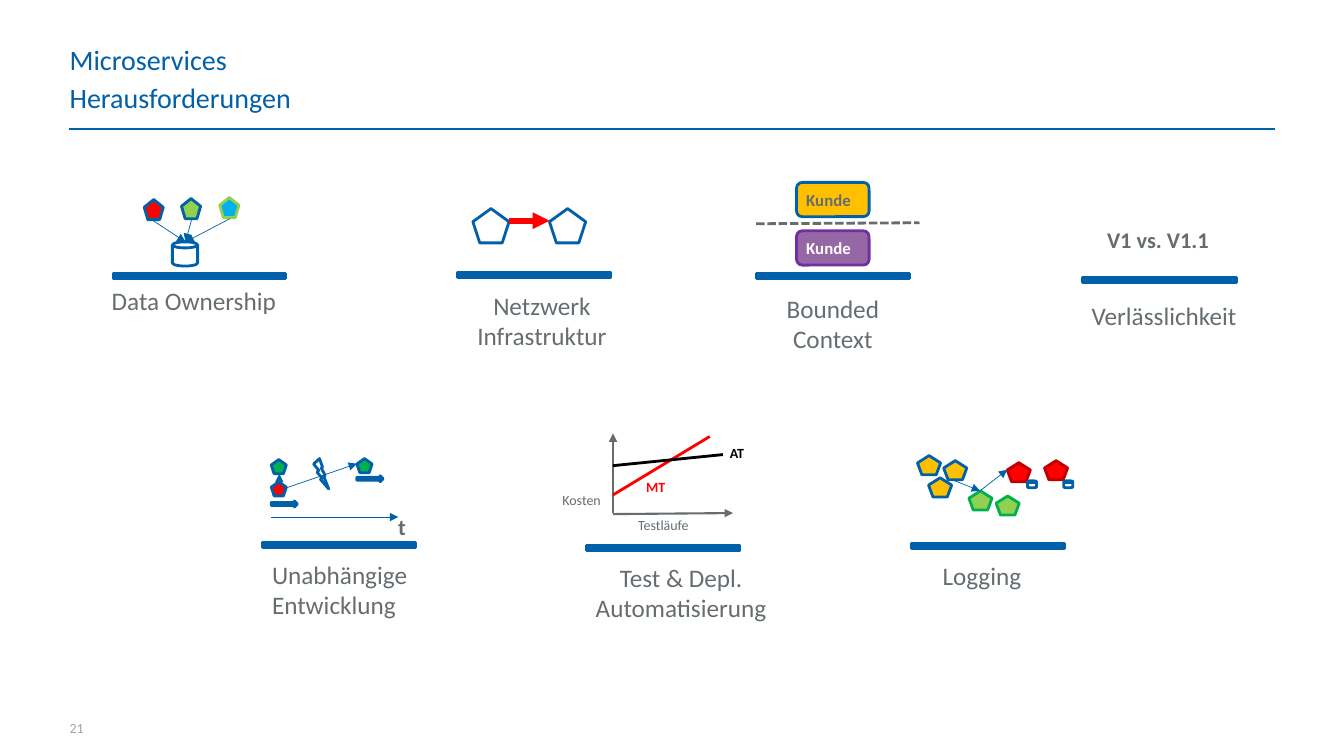
from lxml import etree
from pptx import Presentation
from pptx.dml.color import RGBColor
from pptx.enum import dml, shapes, text
from pptx.oxml.ns import qn
from pptx.util import Inches, Pt

COLORS = {
    "blue": "0060A9", "gray": "666D71", "pale": "A0A3A5", "white": "FFFFFF",
    "black": "000000", "red": "FF0000", "dark red": "C00000", "lime": "92D050",
    "green": "00B050", "sky": "00B0F0", "amber": "FFC000", "violet": "9667A5",
    "purple": "7030A0",
}
KIND = shapes.MSO_SHAPE
LEFT, CENTER = text.PP_ALIGN.LEFT, text.PP_ALIGN.CENTER
MIDDLE = text.MSO_ANCHOR.MIDDLE

prs = Presentation()
prs.slide_width, prs.slide_height = Inches(13.33), Inches(7.5)
slide = prs.slides.add_slide(prs.slide_layouts[5])


def draw(kind, box, fill=None, outline="blue"):
    shape = slide.shapes.add_shape(kind, *map(Inches, box))
    shape.shadow.inherit = False
    if fill:
        shape.fill.solid()
        shape.fill.fore_color.rgb = RGBColor.from_string(COLORS[fill])
    else:
        shape.fill.background()
    shape.line.color.rgb = RGBColor.from_string(COLORS[outline])
    shape.line.width = Pt(2)
    return shape


def write(frame, words, size, color="gray", bold=False, align=LEFT, after=0):
    frame.text = words
    paragraph = frame.paragraphs[0]
    paragraph.alignment = align
    paragraph.space_after = Pt(after)
    paragraph.font.name = "Calibri"
    paragraph.font.size = Pt(size)
    paragraph.font.bold = bold
    paragraph.font.color.rgb = RGBColor.from_string(COLORS[color])
    return paragraph


# Title, subtitle and page number
title = slide.shapes.title
title.left, title.top, title.width, title.height = map(Inches, (0.69, 0.4, 11.96, 0.37))
subtitle = slide.shapes.add_textbox(*map(Inches, (0.69, 0.78, 11.96, 0.37)))
page = slide.shapes.add_textbox(*map(Inches, (0.69, 7.1, 0.52, 0.16)))
for holder, words, size, color, after in [
    (title, "Microservices", 20, "blue", 3),
    (subtitle, "Herausforderungen", 20, "blue", 3),
    (page, "21", 10, "pale", 0),
]:
    frame = holder.text_frame
    frame.margin_left = frame.margin_right = frame.margin_top = frame.margin_bottom = 0
    frame.vertical_anchor = MIDDLE
    frame.auto_size = text.MSO_AUTO_SIZE.NONE
    frame.word_wrap = True
    write(frame, words, size, color, after=after)
page.text_frame.paragraphs[0].line_spacing = 1.5

# Challenges: caption with its box, then the bar above it
for words, align, caption, bar in [
    ("Data Ownership", LEFT, (1.01, 2.78, 2.15, 0.4), (1.12, 2.71, 1.71)),
    ("Netzwerk Infrastruktur", CENTER, (4.44, 2.83, 1.87, 0.71), (4.54, 2.7, 1.52)),
    ("Bounded Context", CENTER, (7.5, 2.86, 1.52, 0.71), (7.5, 2.71, 1.52)),
    ("Verlässlichkeit", CENTER, (10.57, 2.93, 1.95, 0.4), (10.74, 2.75, 1.52)),
    ("Unabhängige Entwicklung", LEFT, (2.6, 5.5, 1.84, 0.71), (2.6, 5.38, 1.52)),
    ("Test & Depl. Automatisierung", CENTER, (5.61, 5.53, 2.29, 0.71), (5.82, 5.41, 1.52)),
    ("Logging", LEFT, (9.25, 5.51, 1.45, 0.4), (9.04, 5.39, 1.52)),
]:
    frame = slide.shapes.add_textbox(*map(Inches, caption)).text_frame
    frame.word_wrap = True
    write(frame, words, 18, align=align, after=3)
    draw(KIND.RECTANGLE, (*bar, 0.05), "blue")

# Services as pentagons: size, then left, top, fill and outline of each
for size, services in [
    ((0.19, 0.2), [  # Data Ownership
        (1.8, 1.97, "lime", "blue"), (2.18, 1.96, "sky", "lime"),
        (1.43, 1.98, "red", "blue")]),
    ((0.36, 0.34), [  # Netzwerk Infrastruktur
        (4.69, 2.07, None, "blue"), (5.45, 2.07, None, "blue")]),
    ((0.15, 0.14), [  # Unabhängige Entwicklung
        (2.69, 4.78, "red", "blue"), (3.54, 4.55, "green", "blue"),
        (2.69, 4.56, "green", "blue")]),
    ((0.23, 0.19), [  # Logging
        (9.1, 4.52, "amber", "blue"), (9.36, 4.57, "amber", "blue"),
        (9.21, 4.74, "amber", "blue"), (9.99, 4.59, "red", "dark red"),
        (10.36, 4.57, "red", "dark red"), (9.61, 4.87, "lime", "green"),
        (9.88, 4.92, "lime", "green")]),
]:
    for left, top, fill, outline in services:
        draw(KIND.REGULAR_PENTAGON, (left, top, *size), fill, outline)

# Databases, releases and the conflict between them
for store in [(1.71, 2.4, 0.25, 0.24), (10.55, 4.77, 0.09, 0.07), (10.19, 4.77, 0.09, 0.07)]:
    draw(KIND.CAN, store)
for left, top in [(2.69, 4.97), (3.54, 4.72)]:
    draw(KIND.RIGHT_ARROW, (left, top, 0.26, 0.06), "blue")
draw(KIND.LIGHTNING_BOLT, (3.11, 4.55, 0.15, 0.3))

# The two meanings of "Kunde"
for top, fill, outline, color in [
    (1.81, "amber", "blue", "gray"), (2.29, "violet", "purple", "white"),
]:
    frame = draw(KIND.ROUNDED_RECTANGLE, (7.9, top, 0.72, 0.34), fill, outline).text_frame
    frame.margin_left = frame.margin_right = Inches(0.08)
    frame.margin_top = frame.margin_bottom = Inches(0.06)
    frame.vertical_anchor = MIDDLE
    write(frame, "Kunde", 12, color, bold=True)

# Lines and arrows: start, end, colour, width, arrowhead
for start, end, color, width, arrow in [
    ((0.68, 1.28), (12.65, 1.28), "blue", 2, False),  # title rule
    ((1.52, 2.19), (1.84, 2.4), "blue", 0.5, True),  # Data Ownership
    ((1.9, 2.18), (1.84, 2.4), "blue", 0.5, True),
    ((2.28, 2.17), (1.84, 2.4), "blue", 0.5, True),
    ((5.05, 2.19), (5.45, 2.19), "red", 4, True),  # Netzwerk Infrastruktur
    ((2.69, 5.13), (3.95, 5.13), "blue", 0.5, True),  # Unabhängige Entwicklung
    ((2.77, 4.78), (2.77, 4.7), "blue", 0.5, True),
    ((2.84, 4.84), (3.54, 4.6), "blue", 0.5, True),
    ((6.08, 5.09), (6.08, 4.3), "gray", 1.5, True),  # Test & Depl.
    ((6.08, 5.1), (7.27, 5.09), "gray", 1.5, True),
    ((6.08, 4.91), (7.04, 4.33), "red", 2, False),
    ((6.08, 4.62), (7.17, 4.51), "black", 2, False),
    ((9.47, 4.77), (9.72, 4.87), "blue", 0.5, True),  # Logging
    ((9.72, 4.87), (9.99, 4.66), "blue", 0.5, True),
    ((7.5, 2.22), (9.12, 2.21), "gray", 2, False),  # context boundary
]:
    link = slide.shapes.add_connector(
        shapes.MSO_CONNECTOR.STRAIGHT, *map(Inches, (*start, *end)))
    link.line.color.rgb = RGBColor.from_string(COLORS[color])
    link.line.width = Pt(width)
    if arrow:
        etree.SubElement(link.line._get_or_add_ln(), qn("a:tailEnd"), type="triangle")
    etree.SubElement(link._element.spPr, qn("a:effectLst"))
link.line.dash_style = dml.MSO_LINE.SQUARE_DOT  # the boundary comes last

# Small labels inside the pictograms
for words, box, size, color, bold, align, after in [
    ("V1 vs. V1.1", (10.87, 2.19, 1.23, 0.37), 16, "gray", True, CENTER, 3),
    ("t", (3.85, 5.04, 0.28, 0.37), 16, "gray", True, LEFT, 3),
    ("Kosten", (5.48, 4.83, 0.63, 0.27), 10, "gray", False, LEFT, 0),
    ("Testläufe", (6.23, 5.08, 0.78, 0.27), 10, "gray", False, LEFT, 0),
    ("MT", (6.31, 4.7, 0.42, 0.27), 10, "red", True, LEFT, 0),
    ("AT", (7.14, 4.36, 0.38, 0.27), 10, "black", True, LEFT, 0),
]:
    frame = slide.shapes.add_textbox(*map(Inches, box)).text_frame
    frame.word_wrap = False
    write(frame, words, size, color, bold, align, after)

prs.save("out.pptx")
